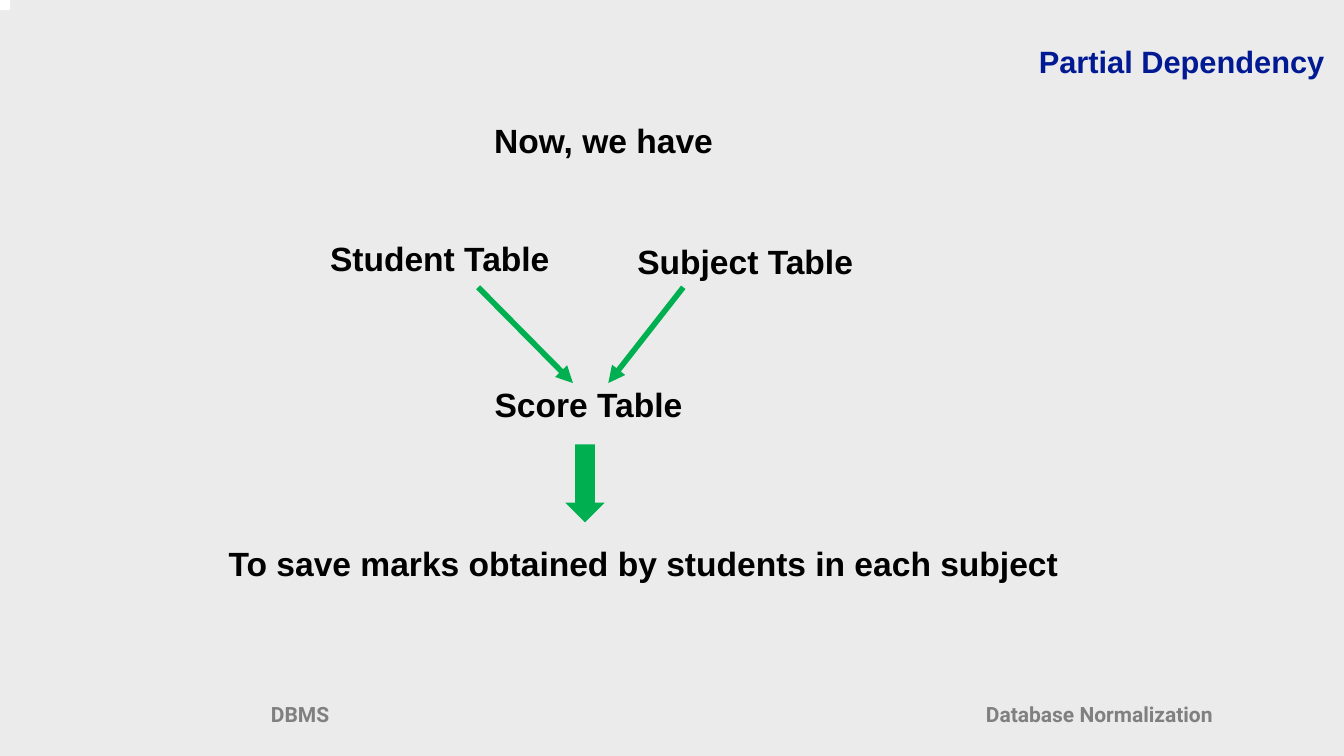
from dataclasses import dataclass

from lxml.etree import SubElement
from pptx import Presentation
from pptx.dml.color import RGBColor
from pptx.enum.shapes import MSO_CONNECTOR as Connector, MSO_SHAPE as Shape
from pptx.enum.text import MSO_ANCHOR as Anchor, PP_ALIGN as Align
from pptx.oxml.ns import qn
from pptx.util import Inches, Pt

WIDTH, HEIGHT = Inches(26.67), Inches(15)
LABEL_HEIGHT = 6.13


@dataclass(frozen=True)
class Theme:
    """Colours, type styles and line width of the slide."""
    background: str = "EBEBEB"
    corner: str = "FFFFFF"
    arrow: str = "00B050"
    arrow_width: float = 8
    title: tuple = ("Arial", 44, "011993")
    label: tuple = ("Arial", 48, "000000")
    footer: tuple = ("Roboto", 30, "808080")


THEME = Theme()


def across(percent):
    """Convert a percentage of the slide width to a length."""
    return round(WIDTH * percent / 100)


def down(percent):
    """Convert a percentage of the slide height to a length."""
    return round(HEIGHT * percent / 100)


def place(left, top, width, height):
    """Convert a box in slide percentages to lengths."""
    return across(left), down(top), across(width), down(height)


def apply(target, values):
    """Set every attribute in a dict of format values."""
    for name, value in values.items():
        setattr(target, name, value)


def add_text(slide, text, box, style, align=Align.CENTER):
    """Add one line of bold text in a box."""
    frame = slide.shapes.add_textbox(*place(*box)).text_frame
    margins = dict.fromkeys(
        ("margin_left", "margin_top", "margin_right", "margin_bottom"), Inches(0.06))
    apply(frame, {"word_wrap": True, "vertical_anchor": Anchor.MIDDLE, **margins})
    paragraph = frame.paragraphs[0]
    paragraph.alignment = align
    run = paragraph.add_run()
    run.text = text
    name, size, color = style
    apply(run.font, {"name": name, "size": Pt(size), "bold": True})
    run.font.color.rgb = RGBColor.from_string(color)


def add_block(slide, kind, box, color):
    """Add a filled preset shape without an outline."""
    shape = slide.shapes.add_shape(kind, *place(*box))
    shape.shadow.inherit = False
    shape.fill.solid()
    shape.fill.fore_color.rgb = RGBColor.from_string(color)
    shape.line.fill.background()


def add_arrow(slide, start, end):
    """Add a straight line with a triangular head at its end."""
    (x1, y1), (x2, y2) = start, end
    arrow = slide.shapes.add_connector(
        Connector.STRAIGHT, across(x1), down(y1), across(x2), down(y2))
    arrow.line.width = Pt(THEME.arrow_width)
    arrow.line.color.rgb = RGBColor.from_string(THEME.arrow)
    properties = arrow._element.spPr
    SubElement(properties.find(qn("a:ln")), qn("a:tailEnd"), type="triangle")
    SubElement(properties, qn("a:effectLst"))


def main():
    """Build the partial dependency slide."""
    presentation = Presentation()
    apply(presentation, {"slide_width": WIDTH, "slide_height": HEIGHT})
    slide = presentation.slides.add_slide(presentation.slide_layouts[6])
    slide.background.fill.solid()
    slide.background.fill.fore_color.rgb = RGBColor.from_string(THEME.background)

    for text, left in (("DBMS", 10.2), ("Database Normalization", 69.67)):
        add_text(slide, text, (left, 92.4, 24.26, 4.13), THEME.footer)
    add_text(slide, "Partial Dependency", (36.48, 5.2, 62.32, 5.67),
             THEME.title, Align.RIGHT)
    add_block(slide, Shape.RECTANGLE, (0, -1.33, 0.75, 2.67), THEME.corner)

    labels = (
        ("Now, we have ", 23.47, 15.47, 43.57),
        ("Student Table ", 16.84, 31.13, 32.47),
        ("Subject Table ", 38.92, 31.47, 33.75),
        ("Score Table", 27.56, 50.33, 32.47),
        ("To save marks obtained by students in each subject", 6.71, 71.4, 82.38),
    )
    for text, left, top, width in labels:
        add_text(slide, text, (left, top, width, LABEL_HEIGHT), THEME.label)

    add_block(slide, Shape.DOWN_ARROW, (42.07, 58.77, 2.92, 10.33), THEME.arrow)
    for start, end in ((35.58, 42.63), (50.84, 45.26)):
        add_arrow(slide, (start, 38), (end, 50.67))

    presentation.save("out.pptx")


if __name__ == "__main__":
    main()
